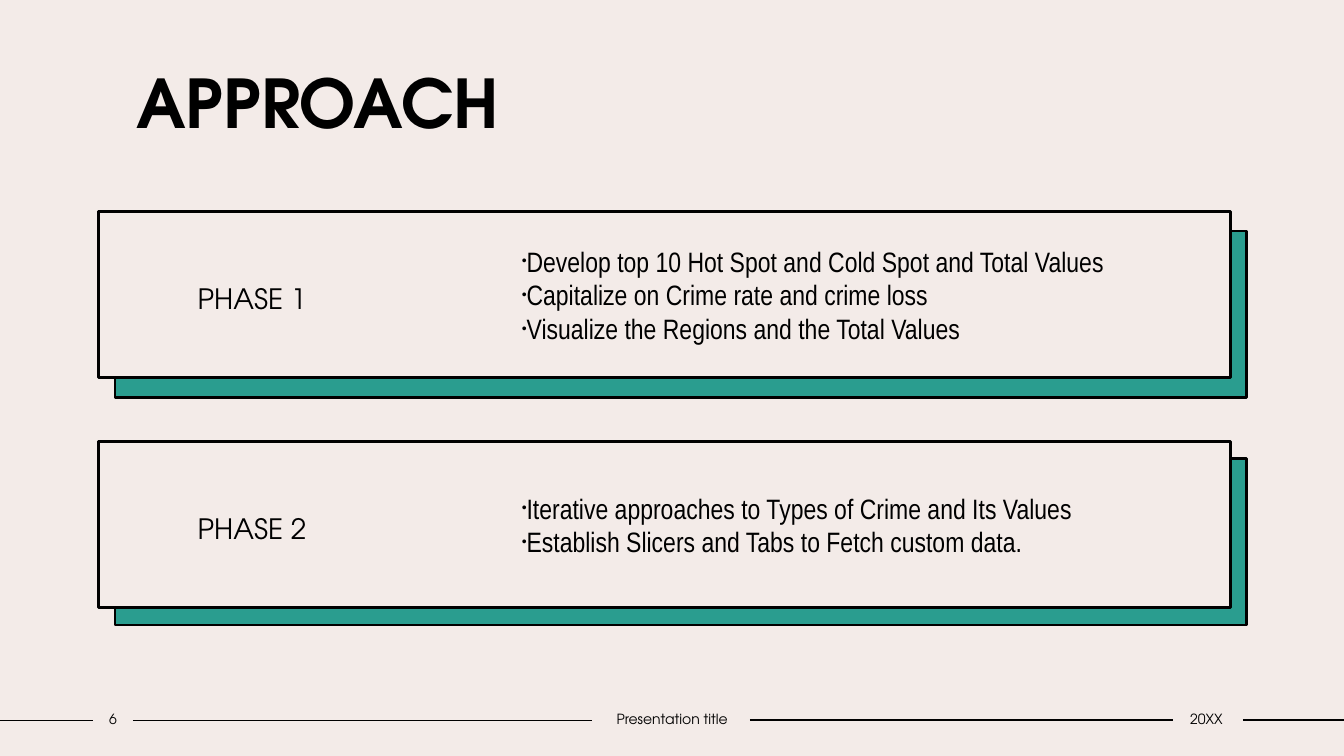
"""Build the two-phase approach slide."""
from lxml.etree import SubElement as Sub
from pptx import Presentation
from pptx.dml.color import RGBColor
from pptx.enum.shapes import MSO_CONNECTOR as Link, MSO_SHAPE as Kind
from pptx.enum.text import MSO_ANCHOR as Anchor, PP_ALIGN as Align
from pptx.oxml.ns import qn
from pptx.util import Cm, Pt

INK, PAPER, TEAL = "000000", "F3EBE8", "2A9D8F"
HEAD, BODY = "TeX Gyre Adventor", "Arial Narrow"
TITLE = "APPROACH"
PHASES = [
    ("PHASE 1", 5.33, 5.82, [
        "Develop top 10 Hot Spot and Cold Spot and Total Values",
        "Capitalize on Crime rate and crime loss",
        "Visualize the Regions and the Total Values"]),
    ("PHASE 2", 11.13, 11.56, [
        "Iterative approaches to Types of Crime and Its Values",
        "Establish Slicers and Tabs to Fetch custom data."]),
]
FOOTER = [("6", 2.34, 1.02), ("Presentation title", 14.91, 4.06),
          ("20XX", 29.51, 1.78)]
RULES = [(0, 2.34, 18.16), (3.35, 14.91, 18.16),
         (18.9, 29.57, 18.14), (31.32, 33.87, 18.14)]
LEFT, BACK, WIDE, HIGH = 2.49, 2.9, 28.52, 4.19


def color(code):
    return RGBColor.from_string(code)


def place(box):
    return [Cm(n) for n in box]


def write(shape, lines, size, font=HEAD, bold=False, anchor=Anchor.MIDDLE,
          align=Align.LEFT, pads=(0.25, 0.13, 0.25, 0.13), space=1.0,
          dots=False):
    frame = shape.text_frame
    left, top, right, low = place(pads)
    look = {"word_wrap": True, "vertical_anchor": anchor,
            "margin_left": left, "margin_top": top,
            "margin_right": right, "margin_bottom": low}
    for name, value in look.items():
        setattr(frame, name, value)
    for i, line in enumerate(lines):
        para = frame.add_paragraph() if i else frame.paragraphs[0]
        para.alignment, para.line_spacing = align, space
        if dots:
            props = para._p.get_or_add_pPr()
            props.set("marL", "0")
            props.set("indent", str(-Cm(0.38)))
            Sub(props, qn("a:buSzPct"), val="50000")
            Sub(props, qn("a:buFont"), typeface="Arial")
            Sub(props, qn("a:buChar"), char="•")
        run = para.add_run()
        run.text = line
        for name, value in {"name": font, "size": Pt(size),
                            "bold": bold}.items():
            setattr(run.font, name, value)
        run.font.color.rgb = color(INK)


def panel(slide, box, fill):
    shape = slide.shapes.add_shape(Kind.RECTANGLE, *place(box))
    shape.shadow.inherit = False
    shape.fill.solid()
    shape.fill.fore_color.rgb = color(fill)
    shape.line.color.rgb = color(INK)
    shape.line.width = Pt(2)
    return shape


def label(slide, box, lines, size, **style):
    write(slide.shapes.add_textbox(*place(box)), lines, size, **style)


def rule(slide, start, end, y):
    line = slide.shapes.add_connector(Link.STRAIGHT,
                                      *place((start, y, end, y)))
    line.line.color.rgb = color(INK)
    line.line.width = Pt(1)
    Sub(line._element.spPr, qn("a:effectLst"))


def main():
    deck = Presentation()
    deck.slide_width, deck.slide_height = Cm(33.87), Cm(19.05)
    slide = deck.slides.add_slide(deck.slide_layouts[6])
    slide.background.fill.solid()
    slide.background.fill.fore_color.rgb = color(PAPER)
    for ends in RULES:
        rule(slide, *ends)
    label(slide, (3.18, 1.42, 10.46, 2.82), [TITLE], 48, bold=True,
          anchor=Anchor.TOP)
    for name, top, drop, steps in PHASES:
        panel(slide, (BACK, drop, WIDE, HIGH), TEAL)
        front = panel(slide, (LEFT, top, WIDE, HIGH), PAPER)
        write(front, [name], 20, pads=(2.49, 0.13, 18.03, 0.13), space=1.2)
        label(slide, (12.9, top + 0.25, 17.81, HIGH - 0.5), steps, 20,
              font=BODY, dots=True)
    for text, left, wide in FOOTER:
        label(slide, (left, 17.78, wide, 0.69), [text], 10,
              align=Align.CENTER, pads=(0, 0.13, 0, 0.13))
    deck.save("out.pptx")


if __name__ == "__main__":
    main()
